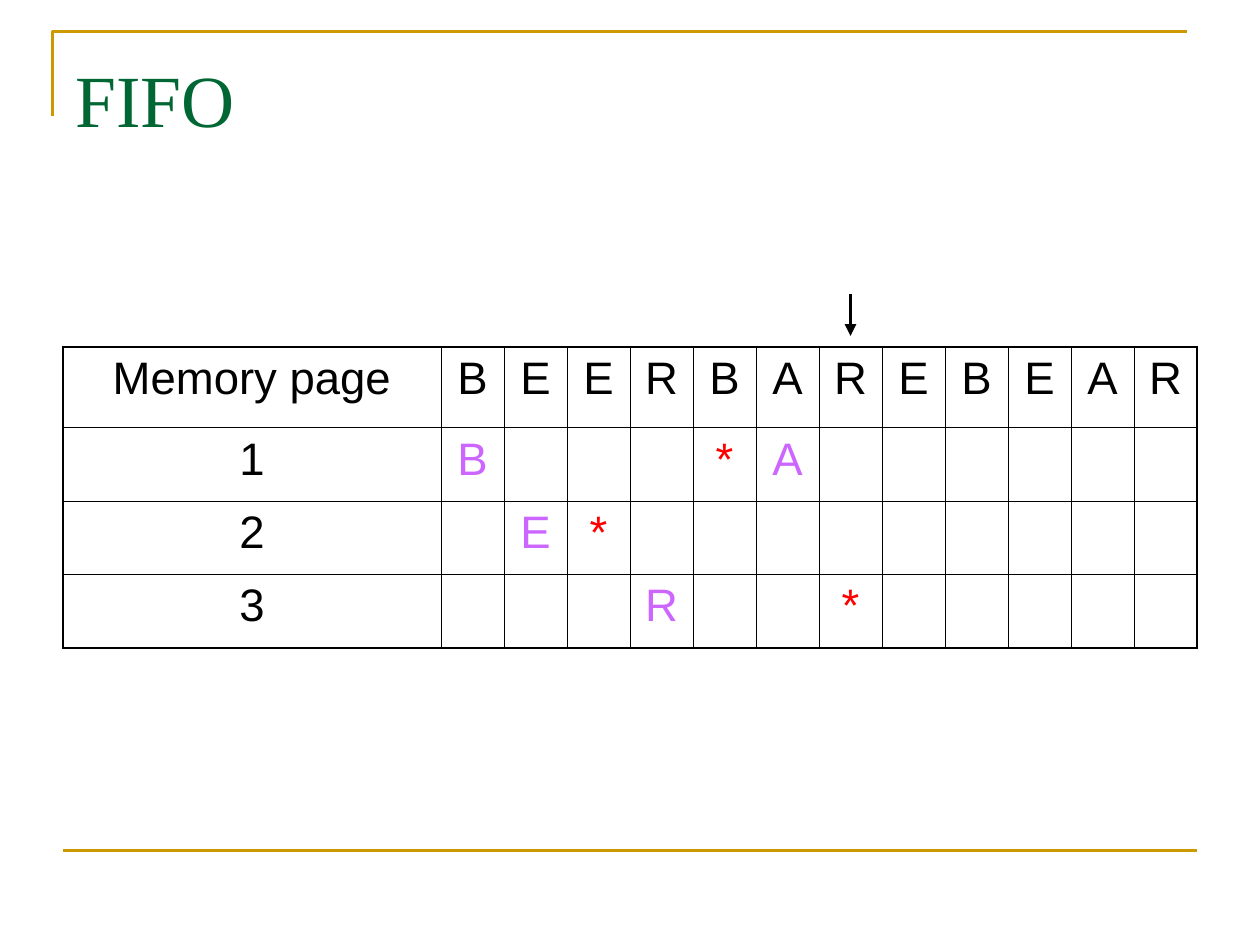
from lxml.etree import SubElement
from pptx import Presentation
from pptx.dml.color import RGBColor
from pptx.enum.shapes import MSO_CONNECTOR
from pptx.enum.text import MSO_ANCHOR, PP_ALIGN
from pptx.oxml.ns import qn
from pptx.util import Cm, Pt

BLACK = RGBColor(0x00, 0x00, 0x00)
GREEN = RGBColor(0x00, 0x66, 0x33)
GOLD = RGBColor(0xCC, 0x99, 0x00)
PURPLE = RGBColor(0xCC, 0x66, 0xFF)
RED = RGBColor(0xFF, 0x00, 0x00)

TITLE = "FIFO"
HEADING = "Memory page"
REQUESTS = "BEERBAREBEAR"
# For each memory page: request number -> page loaded, or * for a hit
PAGES = [
    {1: "B", 5: "*", 6: "A"},
    {2: "E", 3: "*"},
    {4: "R", 7: "*"},
]
CURRENT = 7

LEFT, TOP, WIDTH = 1.27, 6.99, 22.86
LABEL_W, STEP_W = 7.62, 1.27
ROW_HEIGHTS = [1.63] + [1.48] * len(PAGES)
THIN, THICK = Pt(0.45), Pt(1.08)

TITLE_FONT = {"name": "Times New Roman", "size": Pt(42), "bold": False}
CELL_FONT = {"name": "Arial", "size": Pt(26), "bold": False}


def set_font(font, values, color):
    for name, value in values.items():
        setattr(font, name, value)
    font.color.rgb = color


def add_line(slide, start, end, color, width):
    line = slide.shapes.add_connector(
        MSO_CONNECTOR.STRAIGHT, *(Cm(v) for v in start + end))
    line.line.color.rgb = color
    line.line.width = Pt(width)
    SubElement(line._element.spPr, qn("a:effectLst"))
    return line


def add_corner(slide):
    builder = slide.shapes.build_freeform(Cm(1.06), Cm(2.34))
    builder.add_line_segments(
        [(Cm(1.06), Cm(0.64)), (Cm(23.92), Cm(0.64))], close=False)
    sp = builder.convert_to_shape()
    sp.shadow.inherit = False
    sp.fill.background()
    sp.line.color.rgb = GOLD
    sp.line.width = Pt(1.5)


def set_borders(cell, widths):
    tc_pr = cell._tc.get_or_add_tcPr()
    for side, width in widths.items():
        ln = SubElement(tc_pr, qn(f"a:ln{side}"), w=str(int(width)))
        fill = SubElement(ln, qn("a:solidFill"))
        SubElement(fill, qn("a:srgbClr"), val=str(BLACK))


def cell_color(row, col, text):
    if row == 0 or col == 0:
        return BLACK
    return RED if text == "*" else PURPLE


def add_page_table(slide):
    steps = range(1, len(REQUESTS) + 1)
    rows = [[HEADING, *REQUESTS]]
    for number, page in enumerate(PAGES, 1):
        rows.append([str(number)] + [page.get(step, "") for step in steps])
    last_row, last_col = len(rows) - 1, len(REQUESTS)

    table = slide.shapes.add_table(
        len(rows), last_col + 1, Cm(LEFT), Cm(TOP),
        Cm(WIDTH), Cm(sum(ROW_HEIGHTS))).table
    table.first_row = table.horz_banding = False
    for col, column in enumerate(table.columns):
        column.width = Cm(STEP_W if col else LABEL_W)
    for row, height in zip(table.rows, ROW_HEIGHTS):
        row.height = Cm(height)

    for r, texts in enumerate(rows):
        for c, text in enumerate(texts):
            cell = table.cell(r, c)
            set_borders(cell, {
                "L": THICK if c == 0 else THIN,
                "R": THICK if c == last_col else THIN,
                "T": THICK if r == 0 else THIN,
                "B": THICK if r == last_row else THIN,
            })
            cell.fill.background()
            p = cell.text_frame.paragraphs[0]
            p.alignment = PP_ALIGN.CENTER
            if text:
                run = p.add_run()
                run.text = text
                set_font(run.font, CELL_FONT, cell_color(r, c, text))


def main():
    prs = Presentation()
    prs.slide_width, prs.slide_height = Cm(25.4), Cm(19.05)
    slide = prs.slides.add_slide(prs.slide_layouts[5])

    add_corner(slide)
    add_line(slide, (LEFT, 17.15), (LEFT + WIDTH, 17.15), GOLD, 1.5)

    title = slide.shapes.title
    title.left, title.top = Cm(LEFT), Cm(0.76)
    title.width, title.height = Cm(WIDTH), Cm(3.18)
    tf = title.text_frame
    tf.text = TITLE
    tf.vertical_anchor = MSO_ANCHOR.TOP
    tf.margin_top = Cm(0.32)
    p = tf.paragraphs[0]
    p.alignment = PP_ALIGN.LEFT
    set_font(p.runs[0].font, TITLE_FONT, GREEN)

    add_page_table(slide)

    x = LEFT + LABEL_W + (CURRENT - 0.5) * STEP_W
    arrow = add_line(slide, (x, 5.93), (x, 6.77), BLACK, 2.25)
    SubElement(arrow.line._get_or_add_ln(), qn("a:tailEnd"), type="triangle")

    prs.save("out.pptx")


if __name__ == "__main__":
    main()
